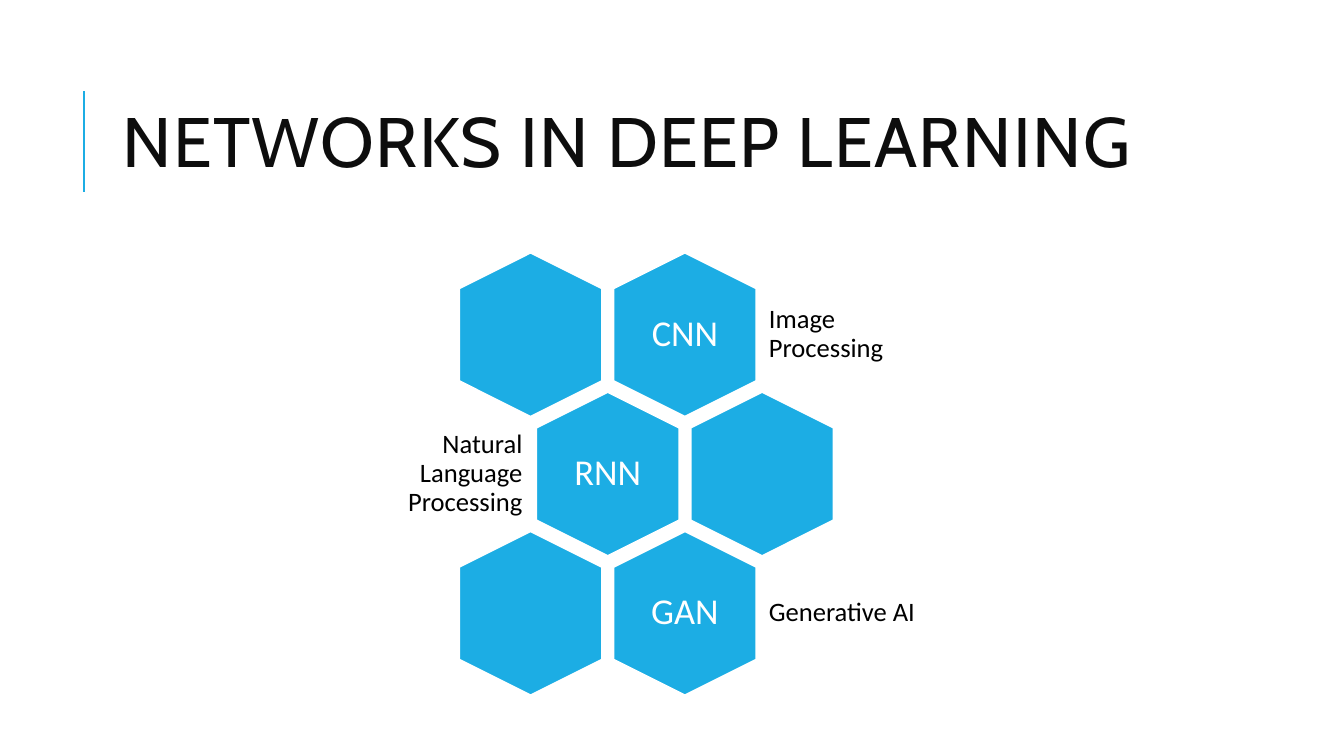
"""Build a slide showing the main deep learning networks as a honeycomb."""
from dataclasses import dataclass

from lxml.etree import SubElement
from pptx import Presentation
from pptx.dml.color import RGBColor
from pptx.enum.shapes import MSO_CONNECTOR as Connector, MSO_SHAPE as Shape
from pptx.enum.text import MSO_ANCHOR as Anchor, PP_ALIGN as Align
from pptx.oxml.ns import qn
from pptx.slide import Slide
from pptx.text.text import _Paragraph as Paragraph
from pptx.util import Cm, Pt

BLUE, WHITE, BLACK, TITLE_INK = "1CADE4", "FFFFFF", "000000", "0D0D0D"
HEX_WIDTH, HEX_HEIGHT = 4.14, 3.61
GRID_LEFT, GRID_TOP = 11.3, 6.63
COLUMN_STEP, ROW_STEP = 3.89, 3.51


@dataclass(frozen=True)
class Cell:
    """One hexagon of the honeycomb with its optional wording."""
    row: int
    column: int
    label: str = ""
    caption: str = ""
    caption_on_left: bool = False

    @property
    def left(self) -> float:
        return GRID_LEFT + COLUMN_STEP * (self.column + self.row % 2 / 2)

    @property
    def top(self) -> float:
        return GRID_TOP + ROW_STEP * self.row


@dataclass(frozen=True)
class TextStyle:
    """Look of one kind of text."""
    font: str
    size: float
    color: str
    line_spacing: float
    side_inset: float
    end_inset: float


TITLE = TextStyle("Cabin", 50, TITLE_INK, 0.8, 0.25, 0.13)
LABEL = TextStyle("Calibri", 26, WHITE, 0.9, 0.28, 0.28)
CAPTION = TextStyle("Calibri", 19, BLACK, 0.9, 0.2, 0.2)

CELLS = (
    Cell(0, 1, "CNN", "Image Processing"),
    Cell(0, 0),
    Cell(1, 0, "RNN", "Natural Language Processing", caption_on_left=True),
    Cell(1, 1),
    Cell(2, 1, "GAN", "Generative AI"),
    Cell(2, 0),
)


def rgb(code: str) -> RGBColor:
    """Turn a hex string into a colour."""
    return RGBColor.from_string(code)


def add_text(page: Slide, text: str, style: TextStyle, left: float, top: float,
             width: float, height: float, align: Align = Align.LEFT) -> Paragraph:
    """Add a wrapped, vertically centred text box and return its paragraph."""
    box = page.shapes.add_textbox(Cm(left), Cm(top), Cm(width), Cm(height))
    frame = box.text_frame
    frame.word_wrap = True
    frame.vertical_anchor = Anchor.MIDDLE
    frame.margin_left = frame.margin_right = Cm(style.side_inset)
    frame.margin_top = frame.margin_bottom = Cm(style.end_inset)
    para = frame.paragraphs[0]
    para.text = text
    para.alignment = align
    para.line_spacing = style.line_spacing
    para.font.name = style.font
    para.font.size = Pt(style.size)
    para.font.color.rgb = rgb(style.color)
    return para


def add_heading(page: Slide) -> None:
    """Add the accent rule and the slide title."""
    rule = page.shapes.add_connector(Connector.STRAIGHT, Cm(2.12), Cm(4.83), Cm(2.12), Cm(2.29))
    rule.line.color.rgb = rgb(BLUE)
    rule.line.width = Pt(1.5)
    SubElement(rule._element.spPr, qn("a:effectLst"))
    para = add_text(page, "NETWORKS IN DEEP LEARNING", TITLE, 2.84, 1.63, 27, 4.17)
    for span in para.runs:
        span._r.get_or_add_rPr().set("spc", "100")


def add_cell(page: Slide, cell: Cell) -> None:
    """Add a hexagon, its label inside and its caption beside."""
    hexagon = page.shapes.add_shape(
        Shape.HEXAGON, Cm(cell.left), Cm(cell.top), Cm(HEX_WIDTH), Cm(HEX_HEIGHT))
    hexagon.rotation = 90
    hexagon.adjustments[0] = 0.25
    hexagon.adjustments[1] = 1.1547
    hexagon.shadow.inherit = False
    hexagon.fill.solid()
    hexagon.fill.fore_color.rgb = rgb(BLUE)
    hexagon.line.color.rgb = rgb(WHITE)
    hexagon.line.width = Pt(1.5)
    if cell.label:
        add_text(page, cell.label, LABEL, cell.left + 0.83, cell.top + 0.38,
                 2.49, 2.84, Align.CENTER)
    if cell.caption:
        offset, width, align = ((-4.35, 4.47, Align.RIGHT) if cell.caption_on_left
                                else (3.99, 4.62, Align.LEFT))
        add_text(page, cell.caption, CAPTION, cell.left + offset, cell.top + 0.56,
                 width, 2.49, align)


def main() -> None:
    """Build and save the deck."""
    deck = Presentation()
    deck.slide_width, deck.slide_height = Cm(33.87), Cm(19.05)
    page = deck.slides.add_slide(deck.slide_layouts[6])
    add_heading(page)
    for cell in CELLS:
        add_cell(page, cell)
    deck.save("out.pptx")


if __name__ == "__main__":
    main()
